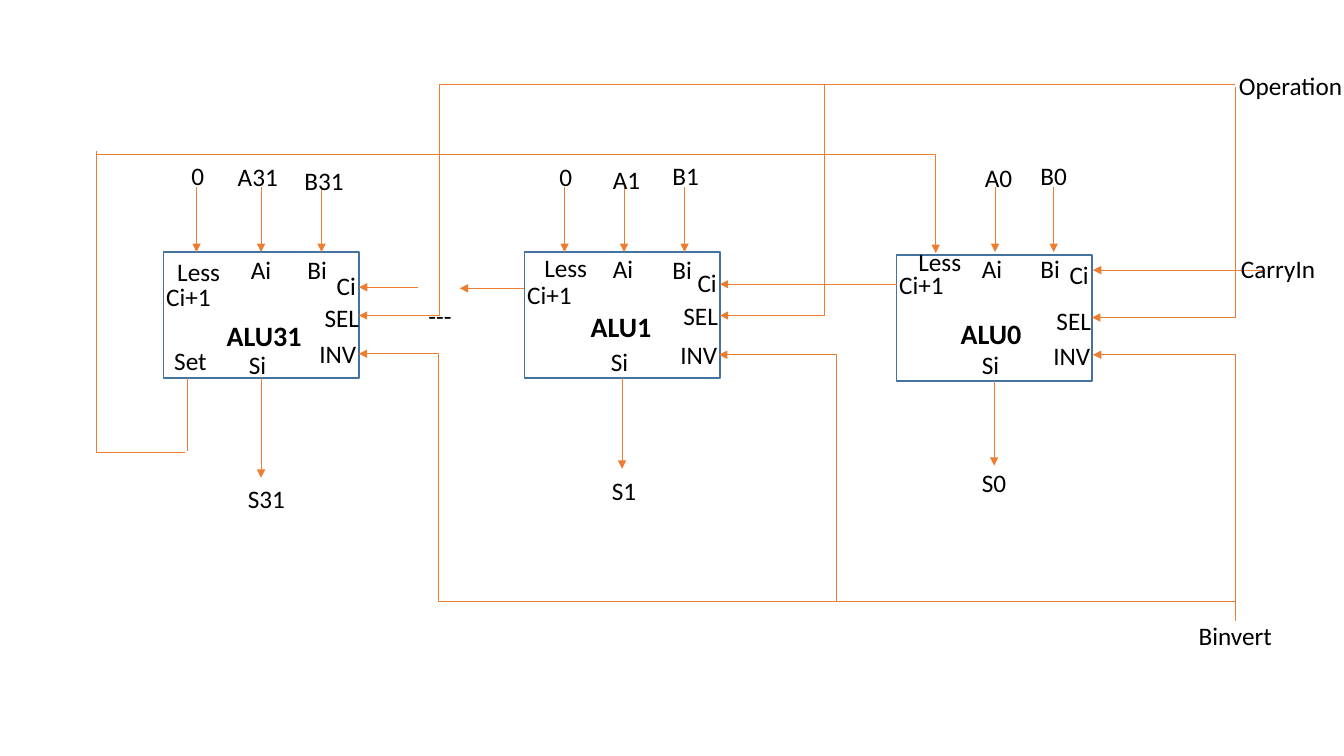
from lxml import etree
from pptx import Presentation, util as u
from pptx.dml.color import RGBColor
from pptx.enum import shapes, text
from pptx.oxml.ns import qn

THEME = {"font": "Calibri", "ink": "000000", "box": "FFFFFF", "edge": "43739E",
         "wire": "ED7D31", "label": 18, "name": 20, "edge_width": 1, "wire_width": 0.5}
ALU_WIDTH, ALU_HEIGHT, INPUT_TOP, INPUT_END = 1.94, 1.25, 1.86, 2.5
OUTPUT_X = 0.97
BUS_X, OPERATION_Y, BINVERT_Y, LESS_Y, FEEDBACK_X = 12.25, 0.84, 5.97, 1.53, 0.96

# Every offset is measured from the top left corner of its ALU.
# pins: label -> offset; inputs: (label, arrow x, label offset);
# output: (label, label offset, arrow end y on the slide)
ALUS = [
    {"name": "ALU0", "at": (8.89, 2.53), "name_at": (0.54, 0.56),
     "pins": {"Less": (0.12, -0.14), "Ci+1": (-0.07, 0.09), "Ai": (0.75, -0.07),
              "Bi": (1.33, -0.07), "Ci": (1.62, -0.01), "SEL": (1.49, 0.45),
              "INV": (1.46, 0.8), "Si": (0.75, 0.89)},
     "inputs": [("A0", 0.98, (0.78, -0.97)), ("B0", 1.56, (1.33, -0.99))],
     "output": ("S0", (0.75, 2.06), 4.62)},
    {"name": "ALU1", "at": (5.2, 2.5), "name_at": (0.56, 0.52),
     "pins": {"Less": (0.1, -0.05), "Ci+1": (-0.07, 0.22), "Ai": (0.78, -0.04),
              "Bi": (1.37, -0.03), "Ci": (1.62, 0.1), "SEL": (1.48, 0.43),
              "INV": (1.45, 0.82), "Si": (0.76, 0.89)},
     "inputs": [("0", 0.4, (0.25, -0.95)), ("A1", 0.99, (0.78, -0.92)),
                ("B1", 1.59, (1.37, -0.96))],
     "output": ("S1", (0.77, 2.17), 4.65)},
    {"name": "ALU31", "at": (1.62, 2.5), "name_at": (0.53, 0.61),
     "pins": {"Less": (0.04, -0.01), "Ci+1": (-0.07, 0.24), "Ai": (0.77, -0.03),
              "Bi": (1.33, -0.03), "Ci": (1.62, 0.13), "SEL": (1.5, 0.45),
              "INV": (1.45, 0.81), "Si": (0.75, 0.92), "Set": (0.01, 0.88)},
     "inputs": [("0", 0.33, (0.18, -0.96)), ("A31", 0.97, (0.64, -0.95)),
                ("B31", 1.57, (1.3, -0.91))],
     "output": ("S31", (0.74, 2.25), 4.74)},
]
SIGNALS = [("---", 4.15, 2.93), ("Operation", 12.19, 0.65),
           ("CarryIn", 12.21, 2.46), ("Binvert", 11.79, 6.11)]
LABEL_WIDTHS = {"---": 0.69, "Operation": 1.24, "CarryIn": 0.94, "Binvert": 0.94,
                "Less": 0.63, "Ci+1": 0.65, "Ai": 0.41, "Bi": 0.4, "Ci": 0.39,
                "SEL": 0.55, "INV": 0.57, "Si": 0.38, "Set": 0.53, "0": 0.33,
                "A0": 0.48, "A1": 0.48, "A31": 0.6, "B0": 0.47, "B1": 0.47, "B31": 0.59,
                "S0": 0.45, "S1": 0.45, "S31": 0.57,
                "ALU0": 0.81, "ALU1": 0.81, "ALU31": 0.95}

# Straight wires: start, end, arrowhead
CARRY_WIRES = [((12.53, 2.68), (10.84, 2.68), True), ((8.9, 2.82), (7.14, 2.82), True),
               ((5.2, 2.86), (4.56, 2.86), True), ((4.15, 2.85), (3.56, 2.85), True)]
SET_WIRES = [((1.86, 3.75), (1.86, 4.47), False),
             ((1.84, 4.49), (FEEDBACK_X, 4.49), False),
             ((FEEDBACK_X, 4.49), (FEEDBACK_X, 1.5), False)]
# Bent wires: those turning once after a vertical run, and those turning twice
VERTICAL_FIRST = [((BUS_X, 0.86), (10.83, 3.15)), ((8.18, OPERATION_Y), (7.14, 3.13)),
                  ((BUS_X, 6.16), (10.84, 3.52)), ((8.29, BINVERT_Y), (7.13, 3.52))]
TWO_TURNS = [((BUS_X, OPERATION_Y), (3.56, 3.13), 0.908),
             ((BUS_X, BINVERT_Y), (3.56, 3.51), 0.909)]

presentation = Presentation()
presentation.slide_width, presentation.slide_height = u.Inches(13.33), u.Inches(7.5)
slide = presentation.slides.add_slide(presentation.slide_layouts[6])


def color(role):
    return RGBColor.from_string(THEME[role])


def add_label(words, left, top, role="label"):
    size = THEME[role]
    box = slide.shapes.add_textbox(u.Inches(left), u.Inches(top),
                                   u.Inches(LABEL_WIDTHS[words]), u.Inches(size * 0.022))
    frame = box.text_frame
    frame.word_wrap = False
    frame.auto_size = text.MSO_AUTO_SIZE.SHAPE_TO_FIT_TEXT
    run = frame.paragraphs[0].add_run()
    run.text = words
    run.font.name, run.font.size = THEME["font"], u.Pt(size)
    run.font.bold = role == "name"
    run.font.color.rgb = color("ink")


def add_wire(start, end, arrow=True, kind=shapes.MSO_CONNECTOR.STRAIGHT):
    wire = slide.shapes.add_connector(kind, *(u.Inches(value) for value in (*start, *end)))
    wire.line.color.rgb = color("wire")
    wire.line.width = u.Pt(THEME["wire_width"])
    properties = wire._element.spPr
    if arrow:
        etree.SubElement(properties.find(qn("a:ln")), qn("a:tailEnd"), type="triangle")
    etree.SubElement(properties, qn("a:effectLst"))
    return properties


def add_bent_wire(start, end, vertical_first=False, bend=None):
    """One turn, or two turns with the middle run at the share `bend`."""
    going_down = end[1] > start[1]
    if vertical_first:  # lay the wire flat around its centre, then turn it
        center_x, center_y = ((a + b) / 2 for a, b in zip(start, end))
        half_width = abs(end[1] - start[1]) / 2
        half_height = abs(end[0] - start[0]) / 2 * (1 if going_down else -1)
        start = center_x - half_width, center_y - half_height
        end = center_x + half_width, center_y + half_height
    properties = add_wire(start, end, kind=shapes.MSO_CONNECTOR.ELBOW)
    if vertical_first:
        properties.find(qn("a:xfrm")).set("rot", str((90 if going_down else 270) * 60000))
    geometry = properties.find(qn("a:prstGeom"))
    if bend is None:
        geometry.set("prst", "bentConnector2")
    else:
        etree.SubElement(geometry.find(qn("a:avLst")), qn("a:gd"),
                         name="adj1", fmla=f"val {round(bend * 100000)}")


# ALU boxes
for alu in ALUS:
    box = slide.shapes.add_shape(shapes.MSO_SHAPE.RECTANGLE, *(
        u.Inches(value) for value in (*alu["at"], ALU_WIDTH, ALU_HEIGHT)))
    box.shadow.inherit = False
    box.fill.solid()
    box.fill.fore_color.rgb = color("box")
    box.line.color.rgb = color("edge")
    box.line.width = u.Pt(THEME["edge_width"])

# Shared signals, carry chain and feedback from Set to Less
for start, end, arrow in CARRY_WIRES + SET_WIRES:
    add_wire(start, end, arrow)
for start, end in VERTICAL_FIRST:
    add_bent_wire(start, end, vertical_first=True)
for start, end, bend in TWO_TURNS:
    add_bent_wire(start, end, bend=bend)
add_bent_wire((FEEDBACK_X, LESS_Y), (9.28, 2.51))
for words, left, top in SIGNALS:
    add_label(words, left, top)

# Inputs, outputs and labels of each ALU
for alu in ALUS:
    left, top = alu["at"]
    labels = list(alu["pins"].items())
    for words, arrow_x, offset in alu["inputs"]:
        add_wire((left + arrow_x, INPUT_TOP), (left + arrow_x, INPUT_END))
        labels.append((words, offset))
    words, offset, arrow_end = alu["output"]
    add_wire((left + OUTPUT_X, top + ALU_HEIGHT), (left + OUTPUT_X, arrow_end))
    labels.append((words, offset))
    for words, (x, y) in labels:
        add_label(words, left + x, top + y)
    x, y = alu["name_at"]
    add_label(alu["name"], left + x, top + y, "name")

presentation.save("out.pptx")
